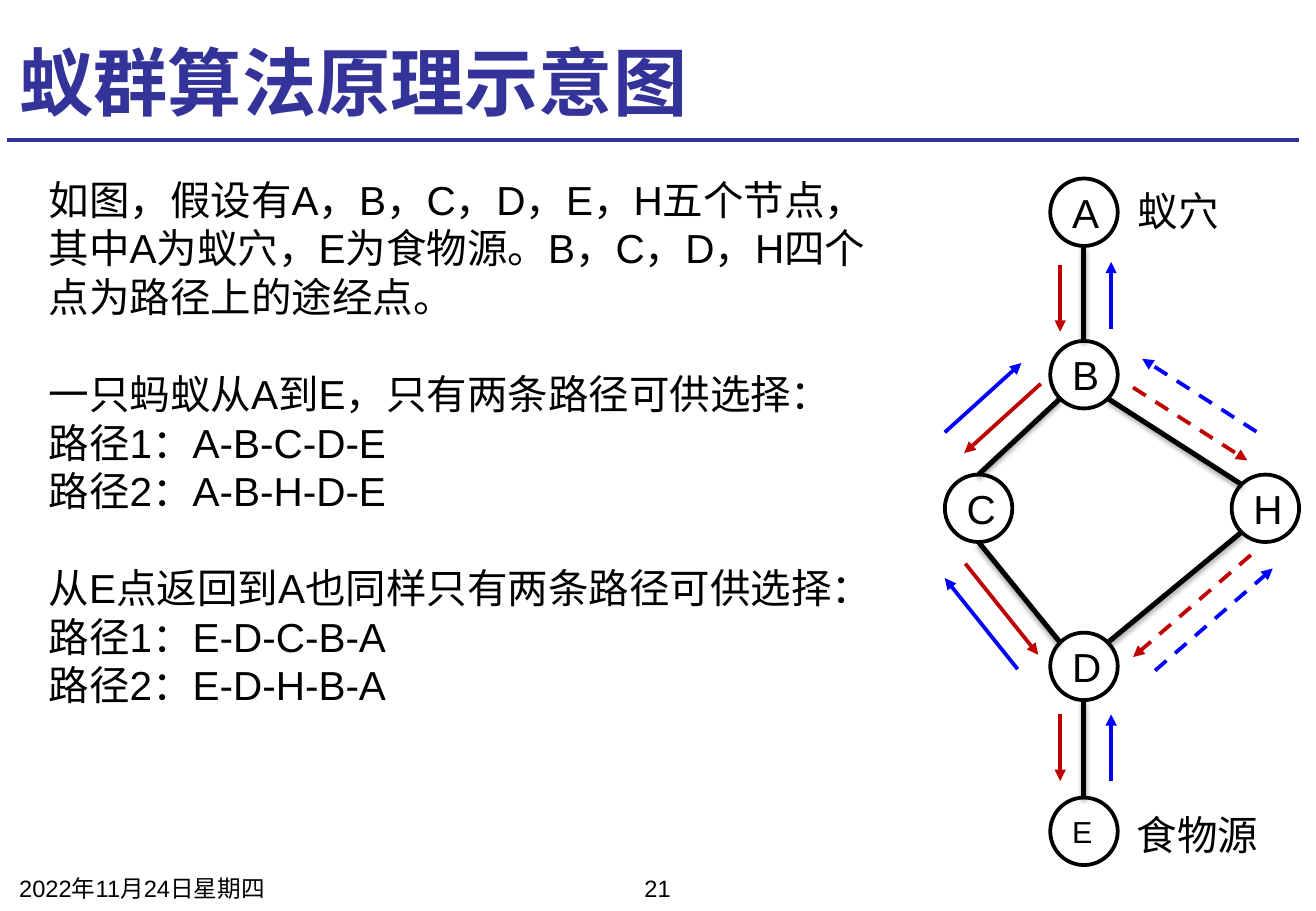
import math

from lxml import etree
from pptx import Presentation
from pptx.dml.color import RGBColor
from pptx.enum import dml, lang, shapes, text
from pptx.oxml import ns
from pptx.util import Pt

COLORS = {"title": "333399", "ink": "000000", "outbound": "C00000", "return": "0000FF"}
FONT = "Arial"
RADIUS = 20

# Node centres, measured from the top left of the diagram
NODES = {
    "A": (82.5, 20),
    "B": (82.5, 116.3),
    "C": (20, 195.5),
    "H": (190, 195.5),
    "D": (82.5, 289.2),
    "E": (82.5, 387),
}
# Start node, end node, direction in degrees in which the line leaves the start
EDGES = [
    ("A", "B", 90, 270),
    ("B", "C", 135, 270),
    ("B", "H", 45, 225),
    ("C", "D", 90, 225),
    ("H", "D", 135, 315),
    ("D", "E", 90, 270),
]
# Outbound start, outbound end, shift to the return arrow, dashed
ARROWS = [
    ((68.4, 51.2), (68.4, 90.8), (30.2, -1.8), False),
    ((56.9, 121.7), (11.5, 162.8), (-11.5, -12.3), False),
    ((12.2, 228.3), (55.4, 282.3), (-12.2, 8.6), False),
    ((68.4, 317.6), (68.4, 357.2), (30.2, 0), False),
    ((111.6, 123.9), (179.3, 167.1), (5.4, -17), True),
    ((181.4, 223.2), (111.6, 283.7), (13, 8), True),
]
# Text, space before in lines
BODY = [
    ("如图，假设有A，B，C，D，E，H五个节点，其中A为蚁穴，E为食物源。B，C，D，H四个点为路径上的途经点。", 0),
    ("一只蚂蚁从A到E，只有两条路径可供选择：", 1),
    ("路径1：A-B-C-D-E", 0),
    ("路径2：A-B-H-D-E", 0),
    ("从E点返回到A也同样只有两条路径可供选择：", 1),
    ("路径1：E-D-C-B-A", 0),
    ("路径2：E-D-H-B-A", 0),
]
LINE_HEIGHT = 28.7


def rgb(name):
    return RGBColor.from_string(COLORS[name])


def place(sp, box):
    sp.left, sp.top, sp.width, sp.height = (Pt(v) for v in box)


def add_run(p, words, size, color="ink", bold=False):
    r = p.add_run()
    r.text = words
    r.font.name = FONT
    r.font.size = Pt(size)
    r.font.bold = bold
    r.font.color.rgb = rgb(color)
    r.font.language_id = lang.MSO_LANGUAGE_ID.SIMPLIFIED_CHINESE


def add_label(s, box, words, size, align=text.PP_ALIGN.LEFT, wrap=True):
    sp = s.shapes.add_textbox(*(Pt(v) for v in box))
    sp.text_frame.word_wrap = wrap
    p = sp.text_frame.paragraphs[0]
    p.alignment = align
    add_run(p, words, size)


def add_line(s, start, end, color, width):
    """Draw a straight line and return it with its empty effect list."""
    cx = s.shapes.add_connector(
        shapes.MSO_CONNECTOR.STRAIGHT, *(Pt(v) for v in (*start, *end)))
    cx.line.color.rgb = rgb(color)
    cx.line.width = Pt(width)
    effects = etree.SubElement(cx._element.spPr, ns.qn("a:effectLst"))
    return cx, effects


def add_edge(s, start, end):
    _, effects = add_line(s, start, end, "ink", 3)
    shadow = etree.SubElement(
        effects, ns.qn("a:outerShdw"), blurRad=str(Pt(3.1)), dist=str(Pt(1.8)),
        dir="5400000", rotWithShape="0")
    color = etree.SubElement(shadow, ns.qn("a:srgbClr"), val=COLORS["ink"])
    etree.SubElement(color, ns.qn("a:alpha"), val="35000")


def add_arrow(s, start, end, color, dashed):
    cx, _ = add_line(s, start, end, color, 2.25)
    if dashed:
        cx.line.dash_style = dml.MSO_LINE.DASH
    etree.SubElement(cx.line._get_or_add_ln(), ns.qn("a:tailEnd"), type="triangle")


def add_node(s, center, name):
    sp = s.shapes.add_shape(
        shapes.MSO_SHAPE.OVAL, Pt(center[0] - RADIUS), Pt(center[1] - RADIUS),
        Pt(2 * RADIUS), Pt(2 * RADIUS))
    sp.shadow.inherit = False
    sp.fill.background()
    sp.line.color.rgb = rgb("ink")
    sp.line.width = Pt(2.25)
    sp.text_frame.vertical_anchor = text.MSO_ANCHOR.MIDDLE
    is_food = name == "E"
    p = sp.text_frame.paragraphs[0]
    p.alignment = text.PP_ALIGN.LEFT if is_food else text.PP_ALIGN.CENTER
    add_run(p, name, 18 if is_food else 24)


def add_title(s, box):
    left, top, width, height = box
    add_line(s, (left, top + height + 5), (left + width, top + height + 5), "title", 2.25)
    place(s.shapes.title, box)
    tf = s.shapes.title.text_frame
    tf.auto_size = text.MSO_AUTO_SIZE.NONE
    tf.vertical_anchor = text.MSO_ANCHOR.BOTTOM
    p = tf.paragraphs[0]
    p.alignment = text.PP_ALIGN.LEFT
    add_run(p, "蚁群算法原理示意图", 44, "title", True)


def add_body(s, box):
    sp = s.placeholders[1]
    place(sp, box)
    tf = sp.text_frame
    tf.word_wrap = True
    tf.auto_size = text.MSO_AUTO_SIZE.NONE
    for i, (words, gap) in enumerate(BODY):
        p = tf.add_paragraph() if i else tf.paragraphs[0]
        pPr = p._p.get_or_add_pPr()
        pPr.set("marL", "0")
        pPr.set("indent", "0")
        etree.SubElement(pPr, ns.qn("a:buNone"))
        p.space_before = Pt(gap * LINE_HEIGHT)
        add_run(p, words, 24)


def add_diagram(s, left, top):
    def at(point, dx=0, dy=0):
        return left + point[0] + dx, top + point[1] + dy

    def rim(name, degrees):
        angle = math.radians(degrees)
        return at(NODES[name], RADIUS * math.cos(angle), RADIUS * math.sin(angle))

    for name, center in NODES.items():
        add_node(s, at(center), name)
    for start, end, leave, arrive in EDGES:
        add_edge(s, rim(start, leave), rim(end, arrive))
    for start, end, shift, dashed in ARROWS:
        add_arrow(s, at(start), at(end), "outbound", dashed)
        add_arrow(s, at(end, *shift), at(start, *shift), "return", dashed)
    add_label(s, (left + 107.2, top + 0.7, 63.4, 36), "蚁穴", 24, wrap=False)
    add_label(s, (left + 106.7, top + 370.6, 87, 36), "食物源", 24, wrap=False)


def add_footer(s, left, top):
    add_label(s, (left, top, 182, 22), "2022年11月24日星期四", 14)
    add_label(s, (left + 294.5, top, 182, 22), "21", 14, text.PP_ALIGN.CENTER)


def main():
    prs = Presentation()
    prs.slide_width, prs.slide_height = Pt(780), Pt(540)
    s = prs.slides.add_slide(prs.slide_layouts[1])
    add_title(s, (4.3, 15.1, 765.4, 62.7))
    add_body(s, (21.6, 100, 510.5, 356.4))
    add_diagram(s, 560, 105.8)
    add_footer(s, 4.3, 514.5)
    prs.save("out.pptx")


if __name__ == "__main__":
    main()
